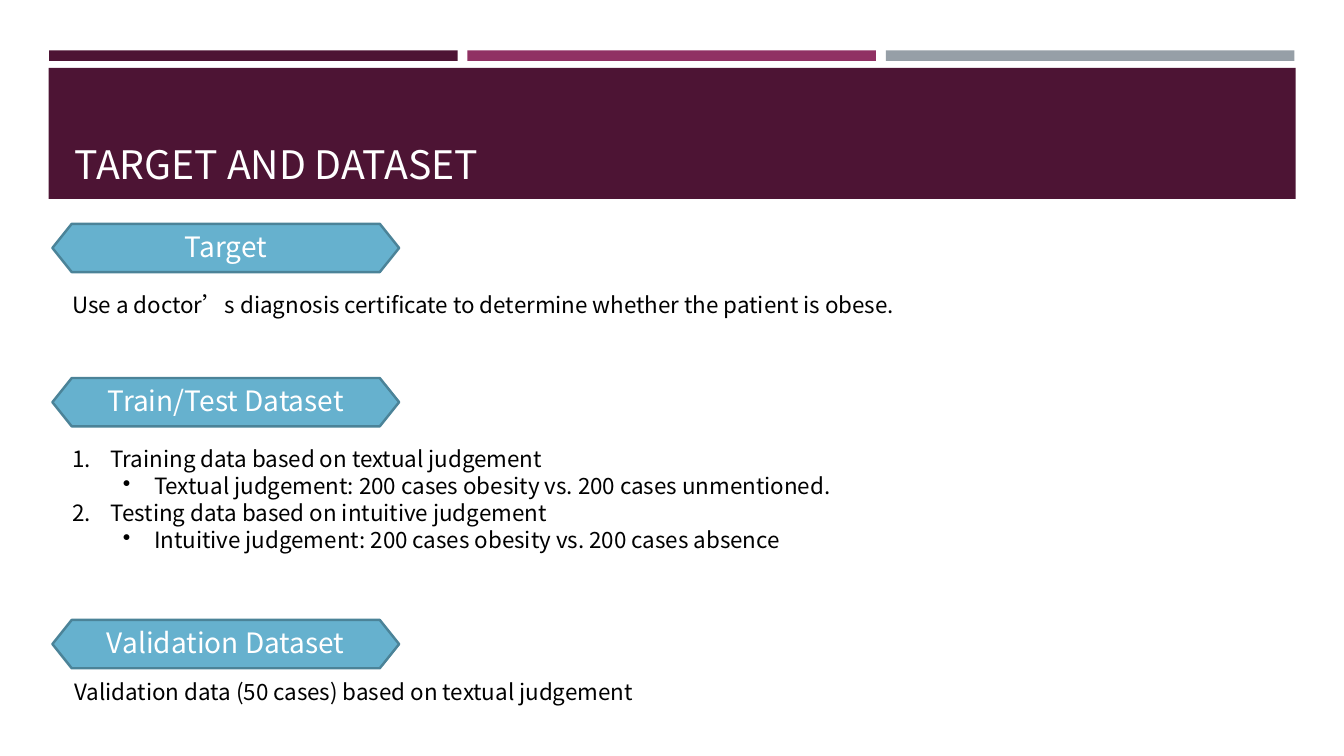
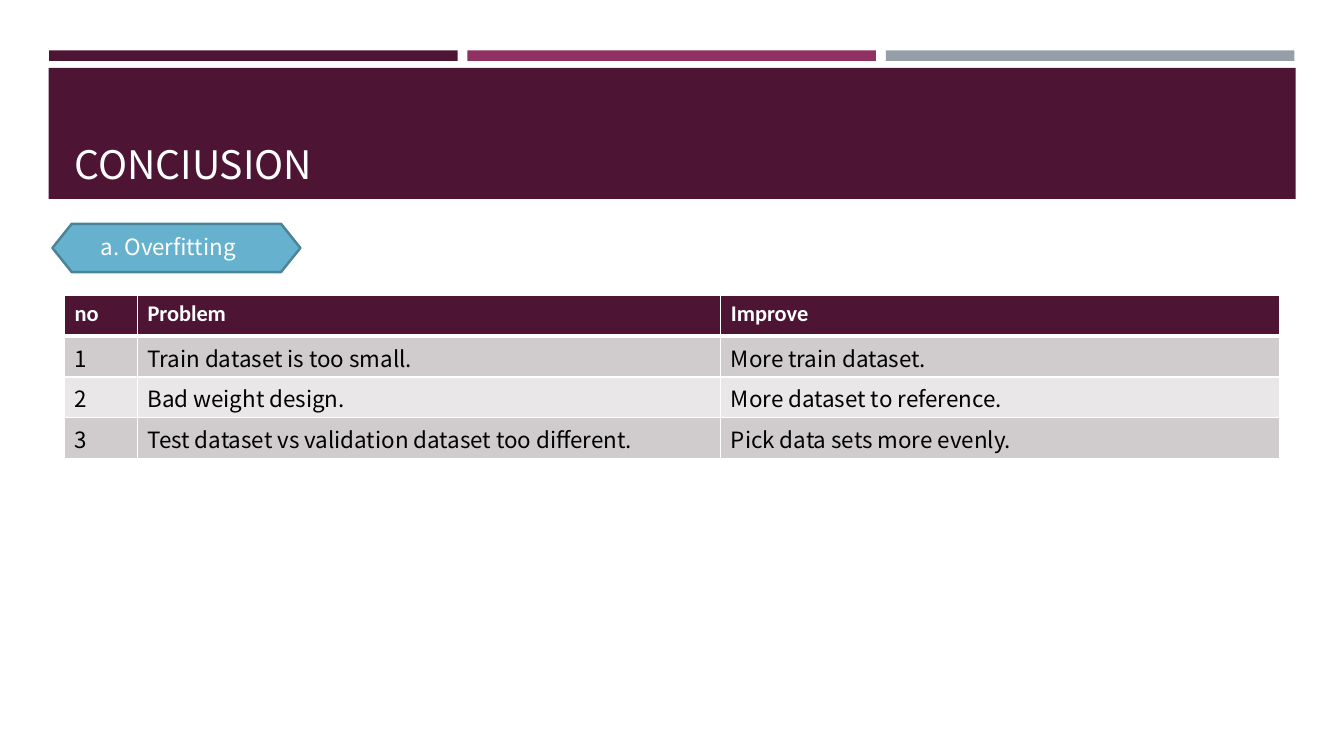
"""Build two slides on the data set and the conclusion of an obesity study."""
import pptx
import pptx.dml.color
import pptx.enum.shapes
import pptx.enum.text
import pptx.oxml
import pptx.oxml.ns
import pptx.util

WIDTH, HEIGHT = pptx.util.Inches(13.33), pptx.util.Inches(7.5)
RECTANGLE = pptx.enum.shapes.MSO_SHAPE.RECTANGLE
HEXAGON = pptx.enum.shapes.MSO_SHAPE.HEXAGON
ALIGN = pptx.enum.text.PP_ALIGN
ANCHOR = pptx.enum.text.MSO_ANCHOR
PLUM, BERRY, GREY, SKY, STEEL = "4D1434", "903163", "969FA7", "66B1CE", "4B8398"
WHITE, BLACK = "FFFFFF", "000000"
ROW_FILLS = ["D0CCCE", "E9E7E8"]
SANS, HEADER_FONT = "Noto Sans CJK TC", "Calibri"
BAR_COLOURS = [PLUM, BERRY, GREY]
BAR_LEFT, BAR_STEP, BAR_WIDTH = 3.65, 31.13, 30.4
LABEL_LEFT, LABEL_HEIGHT = 3.9, 6.4
TEXT_LEFT, TEXT_WIDTH = 4.65, 79
TABLE_AREA = (4.8, 39.07, 90.45, 21.6)
COLUMN_SHARES = [0.06, 0.48, 0.46]

TITLE_FORMAT = {"size": pptx.util.Pt(28), "name": SANS, "bold": False}
LABEL_FORMAT = {**TITLE_FORMAT, "size": pptx.util.Pt(20)}
BODY_FORMAT = {**TITLE_FORMAT, "size": pptx.util.Pt(16)}
HEADER_FORMAT = {"size": pptx.util.Pt(16), "name": HEADER_FONT, "bold": True}
BODY_PARA = {"line_spacing": pptx.util.Pt(19.3)}
LABEL_PARA = {"line_spacing": 0.9, "alignment": ALIGN.CENTER}
LEFT_PARA = {"line_spacing": 0.9, "alignment": ALIGN.LEFT}
LIST_STYLES = [
    {"indent": 0.38, "hang": 0.38, "tag": "a:buAutoNum", "key": "type", "mark": "arabicPeriod"},
    {"indent": 0.81, "hang": 0.31, "tag": "a:buChar", "key": "char", "mark": "•"},
]

SLIDES = [
    {
        "title": "TARGET AND DATASET",
        "labels": [
            ("Target", 29.6, 25.8, LABEL_FORMAT, LABEL_PARA, 0),
            ("Train/Test Dataset", 50, 25.8, LABEL_FORMAT, LABEL_PARA, 0),
            ("Validation Dataset", 82, 25.8, LABEL_FORMAT, LABEL_PARA, 0),
        ],
        "texts": [
            (TEXT_LEFT, 37.84, [("Use a doctor’s diagnosis certificate to determine whether the patient is obese.", None)]),
            (TEXT_LEFT, 58.24, [
                ("Training data based on textual judgement", 0),
                ("Textual judgement: 200 cases obesity vs. 200 cases unmentioned.", 1),
                ("Testing data based on intuitive judgement", 0),
                ("Intuitive judgement: 200 cases obesity vs. 200 cases absence", 1),
            ]),
            (4.8, 89.04, [("Validation data (50 cases) based on textual judgement", None)]),
        ],
        "table": [],
    },
    {
        "title": "CONCIUSION",
        "labels": [("a. Overfitting", 29.6, 18.45, BODY_FORMAT, LEFT_PARA, 0.21)],
        "texts": [],
        "table": [
            ["no", "Problem", "Improve"],
            ["1", "Train dataset is too small.", "More train dataset."],
            ["2", "Bad weight design.", "More dataset to reference."],
            ["3", "Test dataset vs validation dataset too different.", "Pick data sets more evenly."],
        ],
    },
]


def paint(fill, colour):
    fill.solid()
    fill.fore_color.rgb = pptx.dml.color.RGBColor.from_string(colour)


def write(para, text, colour, font_format, para_format):
    span = para.add_run()
    span.text = text
    for target, values in ((span.font, font_format), (para, para_format)):
        for key, value in values.items():
            setattr(target, key, value)
    paint(span.font.fill, colour)
    east_asian = pptx.oxml.parse_xml(f'<a:ea {pptx.oxml.ns.nsdecls("a")} typeface="{font_format["name"]}"/>')
    span.font._element.find(pptx.oxml.ns.qn("a:latin")).addnext(east_asian)


deck = pptx.Presentation()
deck.slide_width, deck.slide_height = WIDTH, HEIGHT

for content in SLIDES:
    page = deck.slides.add_slide(deck.slide_layouts[6])

    blocks = [
        (RECTANGLE, (BAR_LEFT + BAR_STEP * place, 6.67, BAR_WIDTH, 1.37), colour, None)
        for place, colour in enumerate(BAR_COLOURS)
    ]
    blocks.append((RECTANGLE, (3.63, 8.97, 92.77, 17.35), PLUM, None))
    for label in content["labels"]:
        blocks.append((HEXAGON, (LABEL_LEFT, label[1], label[2], LABEL_HEIGHT), SKY, label))

    for preset, (left, top, width, height), colour, label in blocks:
        shape = page.shapes.add_shape(
            preset, int(WIDTH * left / 100), int(HEIGHT * top / 100),
            int(WIDTH * width / 100), int(HEIGHT * height / 100))
        shape.shadow.inherit = False
        paint(shape.fill, colour)
        if label is None:
            shape.line.fill.background()
            continue
        shape.adjustments[0] = 0.4
        paint(shape.line.fill, STEEL)
        shape.line.width = pptx.util.Pt(1.75)
        text, _, _, font_format, para_format, inset = label
        frame_format = {"margin_left": pptx.util.Inches(inset), "margin_right": 0, "margin_top": 0,
                        "margin_bottom": 0, "vertical_anchor": ANCHOR.MIDDLE, "word_wrap": True}
        for key, value in frame_format.items():
            setattr(shape.text_frame, key, value)
        write(shape.text_frame.paragraphs[0], text, WHITE, font_format, para_format)

    texts = [(4.8, 10.67, 90.45, 14.8, ANCHOR.BOTTOM, [(content["title"], None)], WHITE, TITLE_FORMAT, {})]
    for left, top, lines in content["texts"]:
        height = 1.33 + 3.6 * len(lines)
        texts.append((left, top, TEXT_WIDTH, height, ANCHOR.TOP, lines, BLACK, BODY_FORMAT, BODY_PARA))

    for left, top, width, height, anchor, lines, colour, font_format, para_format in texts:
        box = page.shapes.add_textbox(
            int(WIDTH * left / 100), int(HEIGHT * top / 100),
            int(WIDTH * width / 100), int(HEIGHT * height / 100))
        frame = box.text_frame
        frame.word_wrap, frame.vertical_anchor = True, anchor
        for number, (line, level) in enumerate(lines):
            para = frame.add_paragraph() if number else frame.paragraphs[0]
            write(para, line, colour, font_format, para_format)
            if level is None:
                continue
            para.level = level
            style = LIST_STYLES[level]
            properties = para._p.get_or_add_pPr()
            properties.set("marL", str(pptx.util.Inches(style["indent"])))
            properties.set("indent", str(-pptx.util.Inches(style["hang"])))
            properties.append(pptx.oxml.parse_xml(
                f'<{style["tag"]} {pptx.oxml.ns.nsdecls("a")} {style["key"]}="{style["mark"]}"/>'))

    if content["table"]:
        rows = content["table"]
        left, top, width, height = TABLE_AREA
        table = page.shapes.add_table(
            len(rows), len(COLUMN_SHARES), int(WIDTH * left / 100), int(HEIGHT * top / 100),
            int(WIDTH * width / 100), int(HEIGHT * height / 100)).table
        for column, share in zip(table.columns, COLUMN_SHARES):
            column.width = int(WIDTH * width / 100 * share)
        for row_number, row in enumerate(rows):
            header = row_number == 0
            for column_number, text in enumerate(row):
                cell = table.cell(row_number, column_number)
                for side in "LRTB":
                    thick = (header and side == "B") or (row_number == 1 and side == "T")
                    cell._tc.get_or_add_tcPr().append(pptx.oxml.parse_xml(
                        f'<a:ln{side} {pptx.oxml.ns.nsdecls("a")} w="{pptx.util.Pt(3 if thick else 1)}">'
                        f'<a:solidFill><a:srgbClr val="{WHITE}"/></a:solidFill></a:ln{side}>'))
                paint(cell.fill, PLUM if header else ROW_FILLS[(row_number - 1) % 2])
                write(cell.text_frame.paragraphs[0], text, WHITE if header else BLACK,
                      HEADER_FORMAT if header else BODY_FORMAT, {})

deck.save("out.pptx")
